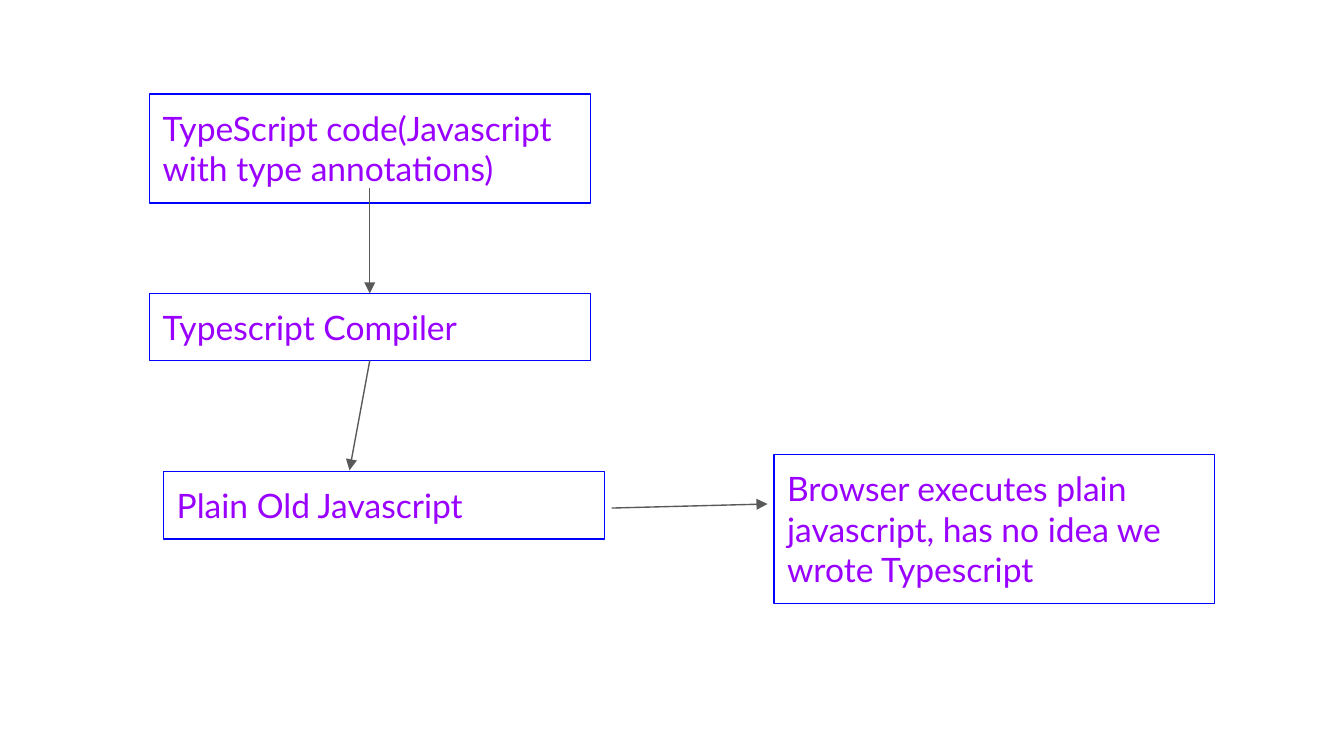
"""Build a slide showing how TypeScript code reaches the browser."""
from lxml.etree import SubElement
from pptx import Presentation
from pptx.dml.color import RGBColor
from pptx.enum.shapes import MSO_CONNECTOR
from pptx.enum.text import MSO_ANCHOR, MSO_AUTO_SIZE
from pptx.oxml.ns import qn
from pptx.util import Pt


def color(value):
    return RGBColor.from_string(value)


deck = Presentation()
deck.slide_width, deck.slide_height = Pt(720), Pt(405)
page = deck.slides.add_slide(deck.slide_layouts[6])

steps = [
    ("TypeScript code(Javascript with type annotations)", 80, 50.4, 58.4),
    ("Typescript Compiler", 80, 157.2, 36),
    ("Plain Old Javascript", 87.6, 252.8, 36),
    ("Browser executes plain javascript, has no idea we wrote Typescript", 414.6, 243.6, 79.6),
]
boxes = []
for text, left, top, height in steps:
    box = page.shapes.add_textbox(Pt(left), Pt(top), Pt(236.2), Pt(height))
    box.line.color.rgb = color("0000FF")
    box.line.width = Pt(0.75)
    frame = box.text_frame
    frame.word_wrap = True
    frame.auto_size = MSO_AUTO_SIZE.SHAPE_TO_FIT_TEXT
    frame.vertical_anchor = MSO_ANCHOR.TOP
    frame.margin_left = frame.margin_right = Pt(7.2)
    frame.margin_top = frame.margin_bottom = Pt(7.2)
    para = frame.paragraphs[0]
    para.text = text
    para.font.name = "Lato"
    para.font.size = Pt(18)
    para.font.color.rgb = color("9900FF")
    boxes.append(box)

arrows = []
for points in [
    (198.1, 100.8, 198.1, 157.2),
    (198.1, 193.2, 187.2, 252),
    (327.6, 272.2, 411.2, 270),
]:
    arrow = page.shapes.add_connector(MSO_CONNECTOR.STRAIGHT, *map(Pt, points))
    arrow.line.color.rgb = color("595959")
    arrow.line.width = Pt(0.75)
    SubElement(arrow.line._get_or_add_ln(), qn("a:tailEnd"), type="triangle")
    SubElement(arrow._element.spPr, qn("a:effectLst"))
    arrows.append(arrow)

compiler = boxes[1]
arrows[0].end_connect(compiler, 0)
arrows[1].begin_connect(compiler, 2)

deck.save("out.pptx")
